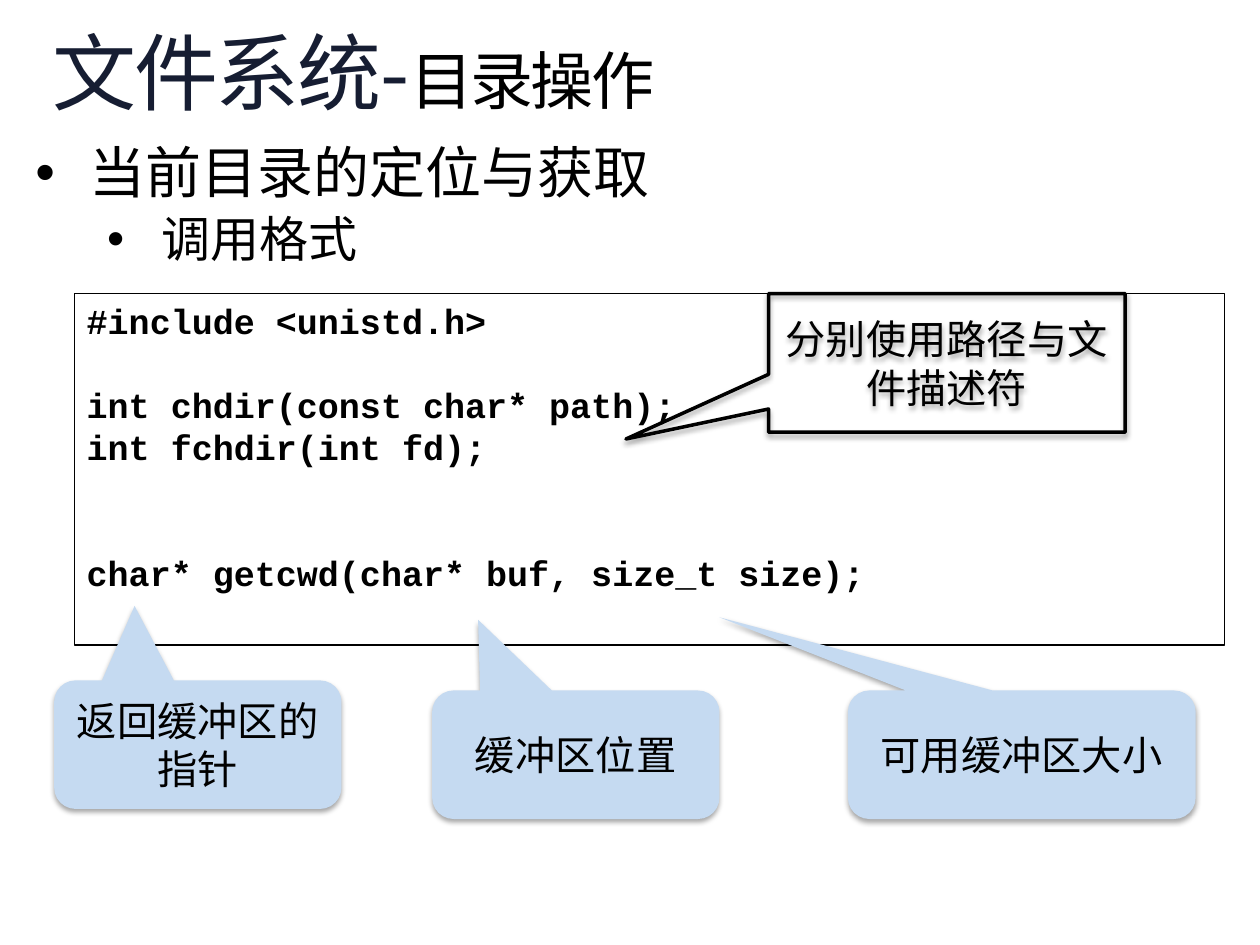
from dataclasses import dataclass
from typing import Optional

import pptx
import pptx.dml.color
import pptx.enum.shapes
import pptx.enum.text
import pptx.oxml
import pptx.oxml.ns
import pptx.util
from lxml import etree

Inches = pptx.util.Inches
Pt = pptx.util.Pt
RGB = pptx.dml.color.RGBColor
SHAPES = pptx.enum.shapes.MSO_SHAPE
qn = pptx.oxml.ns.qn
NS = pptx.oxml.ns.nsdecls("a")


@dataclass(frozen=True)
class Theme:
    text_font: str = "Noto Sans CJK SC"
    code_font: str = "Courier New"
    ink: str = "000000"
    callout_fill: str = "C5DAF1"
    title_stops: tuple = ((0, "2E59B0"), (49, "161D32"), (100, "000000"))
    title_size: int = 48
    subtitle_size: int = 36
    topic_size: int = 32
    subtopic_size: int = 28
    callout_size: int = 23
    code_size: int = 20
    code_pitch: int = 24


@dataclass(frozen=True)
class Box:
    left: float
    top: float
    width: float
    height: float

    def emu(self) -> tuple:
        return tuple(Inches(v) for v in (self.left, self.top, self.width, self.height))


@dataclass(frozen=True)
class Callout:
    text: str
    box: Box
    pointer: tuple
    rounded: bool = True


@dataclass(frozen=True)
class CodeLine:
    text: str
    lines_above: int = 0


THEME = Theme()

CODE = (
    CodeLine("#include <unistd.h>"),
    CodeLine("int chdir(const char* path);", 1),
    CodeLine("int fchdir(int fd);"),
    CodeLine("char* getcwd(char* buf, size_t size);", 2),
)

CALLOUTS = (
    Callout("分别使用路径与文件描述符", Box(6.1, 2.33, 2.83, 1.1), (-0.9, 0.55), False),
    Callout("缓冲区位置", Box(3.43, 5.48, 2.28, 1.02), (-0.34, -1.05)),
    Callout("可用缓冲区大小", Box(6.73, 5.48, 2.76, 1.02), (-0.87, -1.07)),
    Callout("返回缓冲区的指针", Box(0.43, 5.4, 2.28, 1.02), (-0.22, -1.08)),
)


def add_run(paragraph, text: str, size: int, font: Optional[str] = None, bold: bool = False):
    run = paragraph.add_run()
    run.text = text
    run.font.size = Pt(size)
    run.font.bold = bold
    run.font.color.rgb = RGB.from_string(THEME.ink)
    run.font.name = font or THEME.text_font
    east_asian = etree.SubElement(run.font._element, qn("a:ea"))
    east_asian.set("typeface", run.font.name)
    return run


def add_text_frame(slide, box: Box):
    frame = slide.shapes.add_textbox(*box.emu()).text_frame
    frame.word_wrap = True
    frame.margin_left = frame.margin_right = frame.margin_top = frame.margin_bottom = 0
    return frame


def add_title(slide) -> None:
    heading = add_text_frame(slide, Box(0.42, 0.25, 9.17, 0.82)).paragraphs[0]
    heading.line_spacing = 0.9
    system = add_run(heading, "文件系统-", THEME.title_size)
    stops = "".join(
        f'<a:gs pos="{pos * 1000}"><a:srgbClr val="{color}"/></a:gs>'
        for pos, color in THEME.title_stops
    )
    gradient = pptx.oxml.parse_xml(
        f'<a:gradFill {NS}><a:gsLst>{stops}</a:gsLst><a:lin ang="5400000" scaled="0"/></a:gradFill>'
    )
    properties = system.font._element
    properties.replace(properties.find(qn("a:solidFill")), gradient)
    operations = add_run(heading, "目录操作", THEME.subtitle_size)
    for run in (system, operations):
        run.font._element.set("spc", "-150")


def add_bullet(paragraph, text: str, size: int, level: int, indent: float) -> None:
    paragraph.level = level
    paragraph.line_spacing = 0.9
    properties = paragraph._p.get_or_add_pPr()
    properties.set("marL", str(Inches(indent)))
    properties.set("indent", str(Inches(-0.43)))
    etree.SubElement(properties, qn("a:buFont")).set("typeface", "Arial")
    etree.SubElement(properties, qn("a:buChar")).set("char", "•")
    add_run(paragraph, text, size)


def add_topics(slide) -> None:
    frame = add_text_frame(slide, Box(0.28, 1.15, 9.61, 3.59))
    add_bullet(frame.paragraphs[0], "当前目录的定位与获取", THEME.topic_size, 0, 0.43)
    subtopic = frame.add_paragraph()
    subtopic.space_before = Pt(THEME.subtopic_size * 0.2)
    add_bullet(subtopic, "调用格式", THEME.subtopic_size, 1, 1)


def add_code(slide) -> None:
    panel = slide.shapes.add_shape(SHAPES.RECTANGLE, *Box(0.59, 2.33, 9.13, 2.79).emu())
    panel.shadow.inherit = False
    panel.fill.background()
    panel.line.color.rgb = RGB.from_string(THEME.ink)
    panel.line.width = Pt(0.75)
    frame = panel.text_frame
    frame.word_wrap = True
    frame.vertical_anchor = pptx.enum.text.MSO_ANCHOR.TOP
    for index, line in enumerate(CODE):
        paragraph = frame.add_paragraph() if index else frame.paragraphs[0]
        paragraph.alignment = pptx.enum.text.PP_ALIGN.LEFT
        paragraph.line_spacing = Pt(THEME.code_pitch)
        if line.lines_above:
            paragraph.space_before = Pt(line.lines_above * THEME.code_pitch)
        add_run(paragraph, line.text, THEME.code_size, THEME.code_font, True)


def add_soft_shadow(shape) -> None:
    shape.shadow.inherit = False
    effects = shape._element.spPr.find(qn("a:effectLst"))
    effects.append(pptx.oxml.parse_xml(
        f'<a:outerShdw {NS} blurRad="{Pt(3.1)}" dist="{Pt(1.8)}" dir="5400000" rotWithShape="0">'
        f'<a:srgbClr val="{THEME.ink}"><a:alpha val="35000"/></a:srgbClr></a:outerShdw>'
    ))


def add_callout(slide, callout: Callout) -> None:
    kind = SHAPES.ROUNDED_RECTANGULAR_CALLOUT if callout.rounded else SHAPES.RECTANGULAR_CALLOUT
    bubble = slide.shapes.add_shape(kind, *callout.box.emu())
    bubble.adjustments[0], bubble.adjustments[1] = callout.pointer
    if callout.rounded:
        bubble.fill.solid()
        bubble.fill.fore_color.rgb = RGB.from_string(THEME.callout_fill)
        bubble.line.fill.background()
    else:
        bubble.fill.background()
        bubble.line.color.rgb = RGB.from_string(THEME.ink)
        bubble.line.width = Pt(2)
    add_soft_shadow(bubble)
    frame = bubble.text_frame
    frame.word_wrap = True
    frame.vertical_anchor = pptx.enum.text.MSO_ANCHOR.MIDDLE
    label = frame.paragraphs[0]
    label.alignment = pptx.enum.text.PP_ALIGN.CENTER
    add_run(label, callout.text, THEME.callout_size)


def main() -> None:
    deck = pptx.Presentation()
    deck.slide_width, deck.slide_height = Inches(10), Inches(7.5)
    slide = deck.slides.add_slide(deck.slide_layouts[6])

    # Heading and topics
    add_title(slide)
    add_topics(slide)

    # Function declarations and their explanations
    add_code(slide)
    for callout in CALLOUTS:
        add_callout(slide, callout)

    deck.save("out.pptx")


if __name__ == "__main__":
    main()
